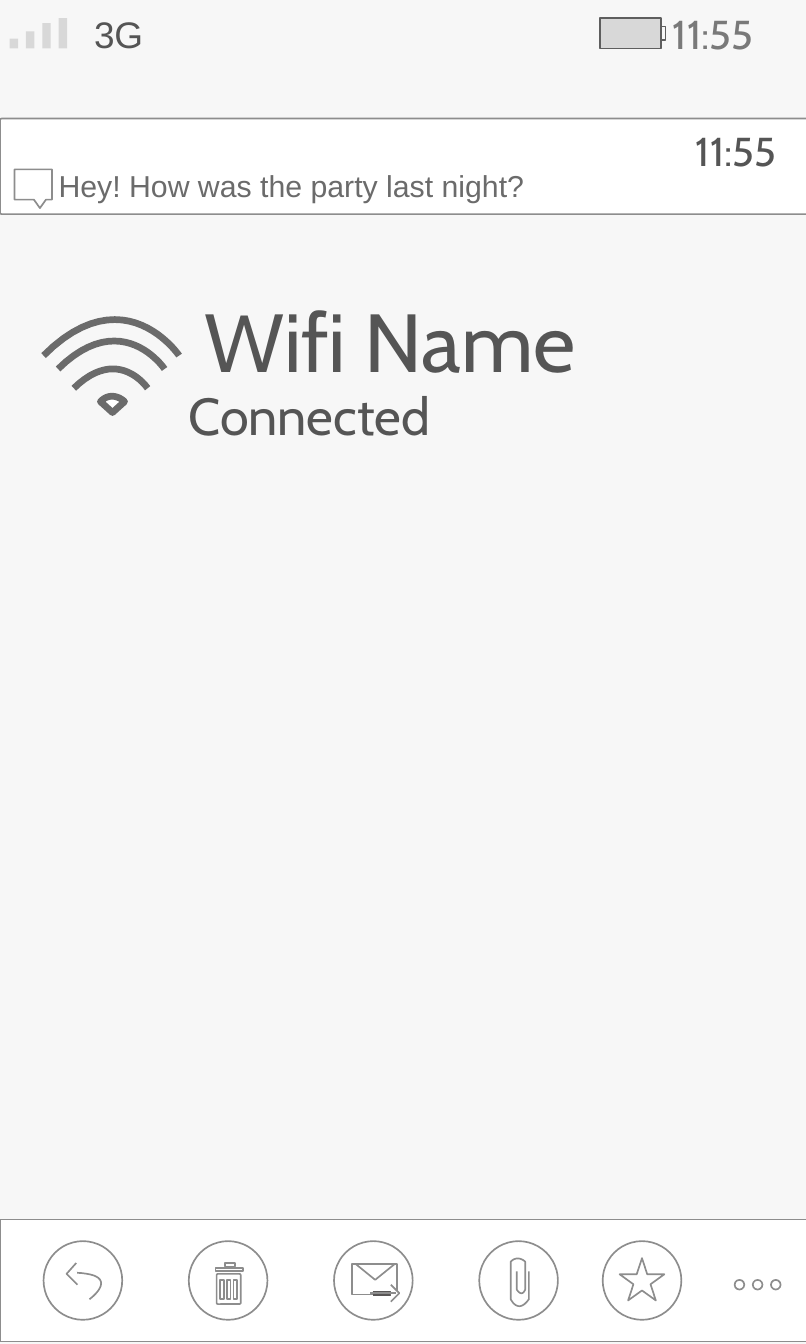
import pptx
import pptx.util
import pptx.dml.color
import pptx.enum.shapes
import pptx.enum.text
import pptx.oxml.ns
from lxml import etree

Inches = pptx.util.Inches
Pt = pptx.util.Pt
SHAPE = pptx.enum.shapes.MSO_SHAPE
ALIGN = pptx.enum.text.PP_ALIGN

COLORS = {
    "background": "F7F7F7",
    "white": "FFFFFF",
    "outline": "8D8D8D",
    "wifi": "6B6B6B",
    "title": "555555",
    "clock": "797979",
    "battery": "5E5E5E",
    "signal": "D8D8D8",
    "arrow": "585555",
}
BUTTON_TOP, BUTTON_SIZE = 10.26, 0.65
BUTTON_LEFTS = [0.36, 1.56, 2.76, 3.96, 4.98]


def rgb(name):
    return pptx.dml.color.RGBColor.from_string(COLORS[name])


def style(sp, fill="white", line="outline", width=1):
    sp.shadow.inherit = False
    if fill:
        sp.fill.solid()
        sp.fill.fore_color.rgb = rgb(fill)
    else:
        sp.fill.background()
    if line:
        sp.line.color.rgb = rgb(line)
        sp.line.width = Pt(width)
    else:
        sp.line.fill.background()
    return sp


def add_box(slide, x, y, w, h, kind=SHAPE.RECTANGLE, radius=None, **look):
    sp = slide.shapes.add_shape(kind, Inches(x), Inches(y), Inches(w), Inches(h))
    if radius is not None:
        sp.adjustments[0] = radius
    return style(sp, **look)


def bezier(p0, p1, p2, p3, steps=24):
    points = []
    for i in range(1, steps + 1):
        t = i / steps
        u = 1 - t
        points.append(tuple(
            u**3 * a + 3 * u * u * t * b + 3 * u * t * t * c + t**3 * d
            for a, b, c, d in zip(p0, p1, p2, p3)))
    return points


def add_outline(slide, start, *steps, close=False, **look):
    """Each step is an (x, y) corner or a triple of curve points."""
    points = [start]
    for step in steps:
        if len(step) == 3:
            points += bezier(points[-1], *step)
        else:
            points.append(step)
    points = [(Inches(x), Inches(y)) for x, y in points]
    builder = slide.shapes.build_freeform(*points[0])
    builder.add_line_segments(points[1:], close=close)
    return style(builder.convert_to_shape(), **look)


def add_line(slide, x1, x2, y, color, width):
    cx = slide.shapes.add_connector(
        pptx.enum.shapes.MSO_CONNECTOR.STRAIGHT,
        Inches(x1), Inches(y), Inches(x2), Inches(y))
    cx.line.color.rgb = rgb(color)
    cx.line.width = Pt(width)
    etree.SubElement(cx._element.spPr, pptx.oxml.ns.qn("a:effectLst"))


def write(sp, text, size, color="title", font="Cabin", align=ALIGN.LEFT,
          spacing=1.0, left=0, top=0):
    tf = sp.text_frame
    tf.word_wrap = True
    tf.vertical_anchor = pptx.enum.text.MSO_ANCHOR.MIDDLE
    tf.margin_left, tf.margin_top = Inches(left), Inches(top)
    tf.margin_right = tf.margin_bottom = 0
    p = tf.paragraphs[0]
    p.alignment = align
    p.line_spacing = spacing
    r = p.add_run()
    r.text = text
    r.font.size = Pt(size)
    r.font.name = font
    r.font.color.rgb = rgb(color)


def add_text(slide, x, y, w, h, text, size, **fmt):
    sp = slide.shapes.add_textbox(Inches(x), Inches(y), Inches(w), Inches(h))
    write(sp, text, size, **fmt)


def add_status_bar(slide):
    for i, height in enumerate([0.08, 0.14, 0.21, 0.25]):
        add_box(slide, 0.08 + i * 0.135, 0.4 - height, 0.07, height,
                fill="signal", line=None)
    add_text(slide, 0.62, -0.05, 0.72, 0.66, "3G", 22, font="Arial",
             align=ALIGN.CENTER)
    add_box(slide, 5.36, 0.22, 0.14, 0.11, fill=None, line="battery")
    add_box(slide, 4.96, 0.15, 0.5, 0.25, fill="signal", line="battery")
    add_text(slide, 5.56, 0.08, 1, 0.4, "11:55", 24, color="clock")


def add_message(slide):
    card = add_box(slide, 0, 0.98, 6.69, 0.79, SHAPE.ROUNDED_RECTANGLE, 0.018)
    write(card, "Hey! How was the party last night?", 18, color="wifi",
          font="Arial", left=0.48, top=0.32)
    add_text(slide, 5.75, 1.04, 0.9, 0.4, "11:55", 24)
    # Speech bubble
    add_outline(slide, (0.12, 1.4), (0.12, 1.65), (0.28, 1.65), (0.33, 1.72),
                (0.38, 1.65), (0.43, 1.65), (0.43, 1.4), close=True)


def add_wifi(slide):
    # Right end, peak control point and left end of each arc
    for right, peak, left in [
        ((1.22, 3.21), (0.98, 2.85), (0.61, 3.21)),
        ((1.36, 3.05), (1.01, 2.53), (0.48, 3.05)),
        ((1.48, 2.94), (1.03, 2.27), (0.36, 2.94)),
    ]:
        add_outline(slide, right, (right, peak, left),
                    fill=None, line="wifi", width=4)
    add_outline(slide, (0.83, 3.32), (0.93, 3.41), (1.03, 3.32),
                ((1.03, 3.32), (0.93, 3.22), (0.83, 3.32)),
                close=True, line="wifi", width=4)
    add_text(slide, 1.69, 2.41, 4.61, 0.89, "Wifi Name", 49, spacing=0.9)
    add_text(slide, 1.56, 3.23, 2.33, 0.47, "Connected", 31, spacing=0.9)


def add_reply_icon(slide):
    add_outline(slide, (0.74, 10.74),
                ((0.74, 10.74), (1.04, 10.52), (0.58, 10.52)))
    add_outline(slide, (0.63, 10.44), (0.55, 10.53), (0.64, 10.62))


def add_trash_icon(slide):
    add_box(slide, 1.79, 10.53, 0.2, 0.25, SHAPE.ROUNDED_RECTANGLE, 0.06)
    add_box(slide, 1.78, 10.48, 0.23, 0.03)
    add_box(slide, 1.86, 10.44, 0.08, 0.03)
    for i in range(3):
        add_box(slide, 1.82 + i * 0.055, 10.58, 0.03, 0.16)


def add_forward_icon(slide):
    add_box(slide, 2.91, 10.45, 0.37, 0.25)
    add_outline(slide, (2.94, 10.45), (3.1, 10.58), (3.26, 10.45), close=True)
    add_line(slide, 3.08, 3.28, 10.69, "arrow", 3)
    add_outline(slide, (3.23, 10.76), (3.3, 10.69), (3.23, 10.62))
    add_line(slide, 3.06, 3.27, 10.69, "outline", 1)


def add_clip_icon(slide):
    add_outline(slide, (4.27, 10.51), (4.27, 10.66),
                ((4.27, 10.66), (4.31, 10.73), (4.34, 10.66)), (4.34, 10.43),
                ((4.34, 10.43), (4.28, 10.37), (4.22, 10.43)), (4.22, 10.74),
                ((4.22, 10.74), (4.28, 10.87), (4.37, 10.74)), (4.37, 10.51))


def add_toolbar(slide):
    add_box(slide, 0, 10.08, 6.68, 1.01)
    for x in BUTTON_LEFTS:
        add_box(slide, x, BUTTON_TOP, BUTTON_SIZE, BUTTON_SIZE, SHAPE.OVAL)
    add_reply_icon(slide)
    add_trash_icon(slide)
    add_forward_icon(slide)
    add_clip_icon(slide)
    add_box(slide, 5.12, 10.4, 0.37, 0.35, SHAPE.STAR_5_POINT)
    # More menu
    for i in range(3):
        add_box(slide, 6.07 + i * 0.15, 10.58, 0.08, 0.08, SHAPE.OVAL)


def main():
    prs = pptx.Presentation()
    prs.slide_width, prs.slide_height = Inches(6.66), Inches(11.11)
    slide = prs.slides.add_slide(prs.slide_layouts[6])
    slide.background.fill.solid()
    slide.background.fill.fore_color.rgb = rgb("background")
    add_wifi(slide)
    add_message(slide)
    add_status_bar(slide)
    add_toolbar(slide)
    prs.save("out.pptx")


if __name__ == "__main__":
    main()
